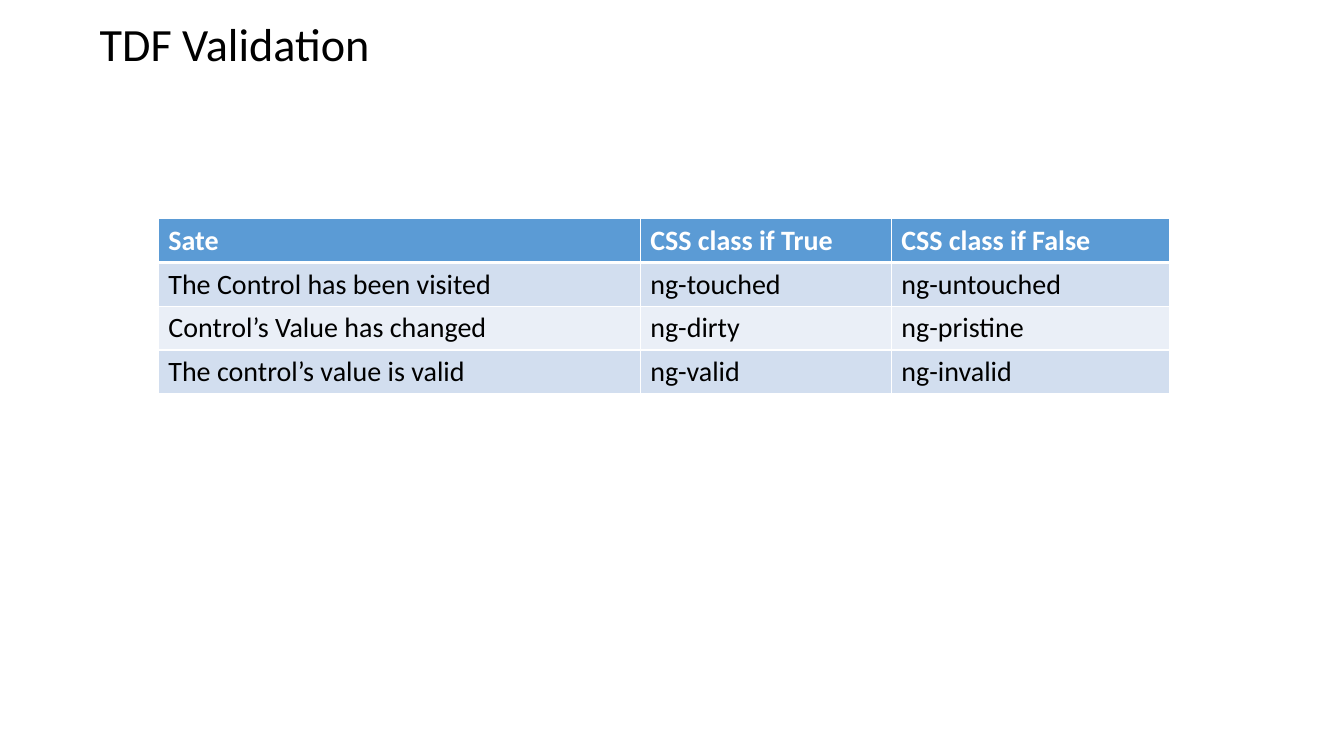
from lxml import etree
from pptx import Presentation
from pptx import util as u
from pptx.dml.color import RGBColor
from pptx.enum import text
from pptx.oxml.ns import qn

hues = {"head": "5B9BD5", "odd": "D2DEEF", "even": "EAEFF7",
        "white": "FFFFFF", "black": "000000"}

deck = Presentation()
deck.slide_width, deck.slide_height = u.Inches(13.33), u.Inches(7.5)
slide = deck.slides.add_slide(deck.slide_layouts[6])


def style(para, size, hue, bold=False):
    font = para.font
    font.name, font.size, font.bold = "Calibri", u.Pt(size), bold
    font.color.rgb = RGBColor.from_string(hues[hue])


def edge(cell, side, width):
    line = etree.SubElement(cell._tc.get_or_add_tcPr(), qn(f"a:ln{side}"),
                            w=str(u.Pt(width)))
    fill = etree.SubElement(line, qn("a:solidFill"))
    etree.SubElement(fill, qn("a:srgbClr"), val=hues["white"])


# Title
title = slide.shapes.add_textbox(u.Inches(0.89), u.Inches(0.17),
                                 u.Inches(11.67), u.Inches(1))
frame = title.text_frame
frame.word_wrap = True
frame.vertical_anchor = text.MSO_ANCHOR.TOP
para = frame.paragraphs[0]
para.text = "TDF Validation"
para.line_spacing = 0.9
style(para, 33, "black")

# Table of control states
rows = [
    ("Sate", "CSS class if True", "CSS class if False"),
    ("The Control has been visited", "ng-touched", "ng-untouched"),
    ("Control’s Value has changed", "ng-dirty", "ng-pristine"),
    ("The control’s value is valid", "ng-valid", "ng-invalid"),
]
widths = [4.78, 2.49, 2.76]
high = 0.41
table = slide.shapes.add_table(
    len(rows), len(widths), u.Inches(1.57), u.Inches(2.17),
    u.Inches(sum(widths)), u.Inches(high * len(rows))).table
for col, wide in zip(table.columns, widths):
    col.width = u.Inches(wide)

for r, row in enumerate(rows):
    table.rows[r].height = u.Inches(high)
    head = r == 0
    band = "head" if head else "odd" if r % 2 else "even"
    for c, word in enumerate(row):
        cell = table.cell(r, c)
        cell.text = word
        style(cell.text_frame.paragraphs[0], 20,
              "white" if head else "black", head)
        # Thin white grid, thick under the header; edges go before the fill
        for side in "LRTB":
            thick = (r, side) in ((0, "B"), (1, "T"))
            edge(cell, side, 3 if thick else 1)
        cell.fill.solid()
        cell.fill.fore_color.rgb = RGBColor.from_string(hues[band])

deck.save("out.pptx")
